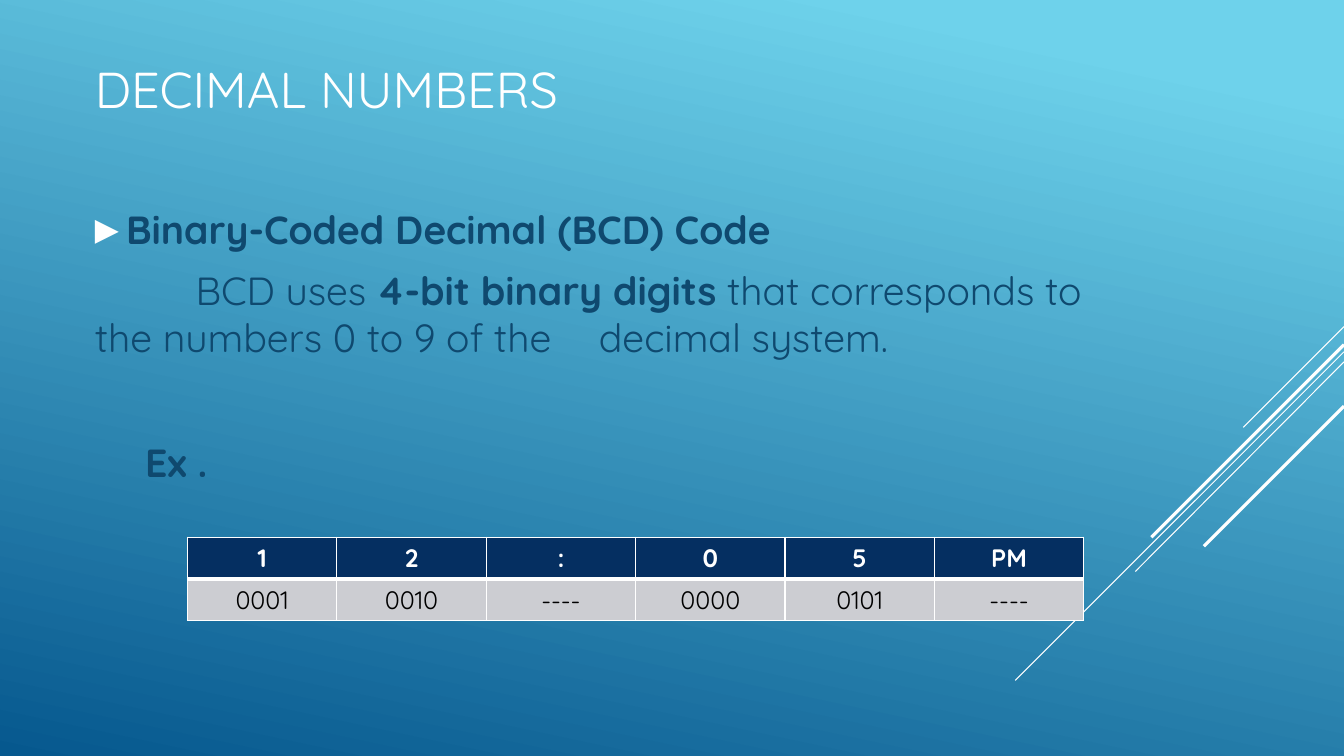
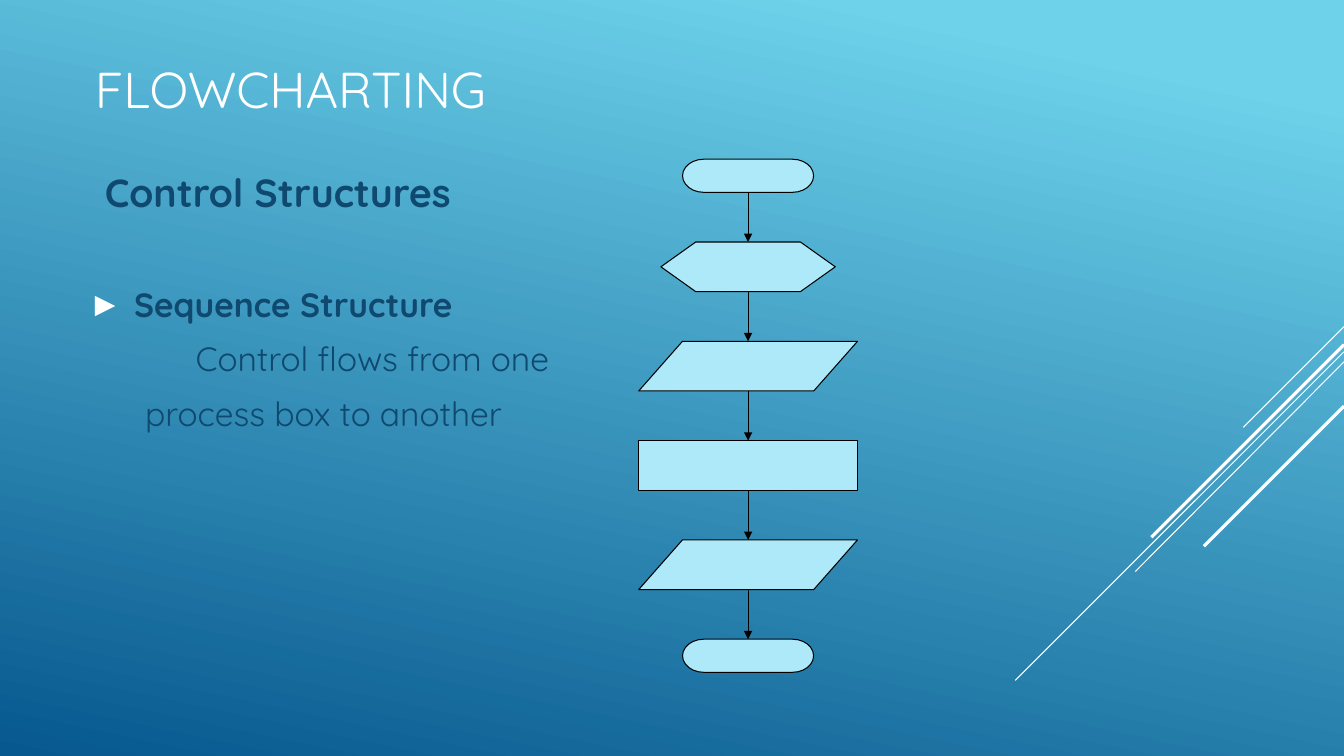
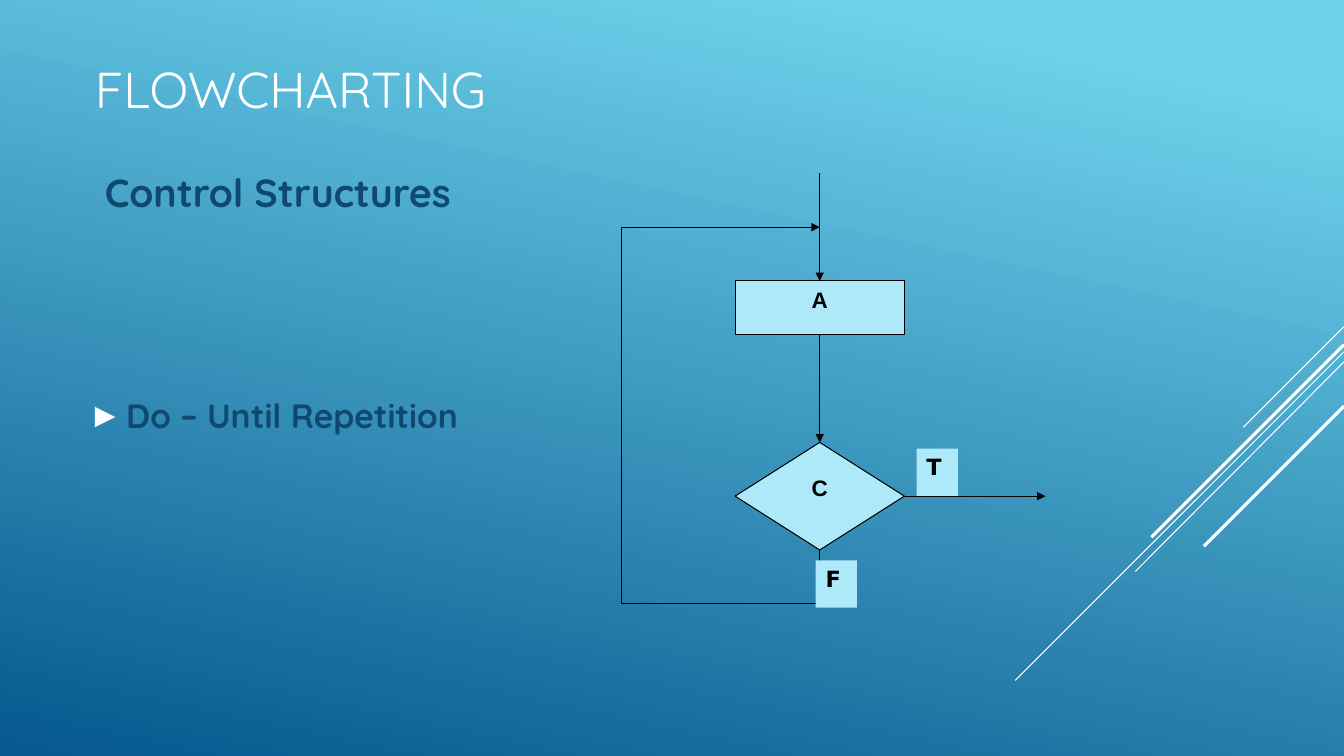
import pptx
import pptx.dml.color
import pptx.enum.shapes
import pptx.enum.text
import pptx.oxml
import pptx.oxml.ns
import pptx.util
from pptx.util import Inches

KIND = pptx.enum.shapes.MSO_SHAPE
ANCHOR = pptx.enum.text.MSO_ANCHOR
ALIGN = pptx.enum.text.PP_ALIGN
FONT, SYMBOL_FONT = "Quicksand", "DejaVu Sans"
WHITE, BLACK, INK, PALE = "FFFFFF", "000000", "0F496F", "ADE9F8"
NAVY, GREY = "052F61", "CCCDD2"

# Diagonal lines of the master: start y at the right edge, end x, end y, weight
DIAGONALS = [
    (3.24, 12.33, 4.24, 0.75),
    (3.49, 10.07, 6.75, 0.75),
    (3.59, 11.26, 5.67, 0.75),
    (3.42, 11.42, 5.33, 2.25),
    (4.03, 11.94, 5.42, 2.25),
]

# Body paragraphs: runs of (text, bold), size, left margin, first-line indent,
# space before, and optionally a bullet or a tab stop
HEADING = dict(runs=[("Control Structures", True)], size=28, left=0.1, first=0, before=0)
BODIES = {
    "bcd": [
        dict(runs=[("Binary-Coded Decimal (BCD) Code", True)],
             size=28, left=0.31, first=-0.31, before=0, bullet=True),
        dict(runs=[("BCD uses ", False), ("4-bit binary digits", True),
                   (" that corresponds to the numbers 0 to 9 of the \tdecimal system.", False)],
             size=28, left=0, first=1, before=10, tab=5),
        dict(runs=[("Ex .", True)], size=28, left=0.5, first=0, before=55),
    ],
    "sequence": [
        HEADING,
        dict(runs=[("Sequence Structure", True)],
             size=24, left=0.39, first=-0.39, before=49, bullet=True),
        dict(runs=[("Control flows from one", False)], size=24, left=1, first=0, before=10),
        dict(runs=[("process box to another", False)], size=24, left=0.5, first=0, before=10),
    ],
    "until": [
        HEADING,
        dict(runs=[("Do – Until Repetition", True)],
             size=24, left=0.31, first=-0.31, before=128, bullet=True),
    ],
}

TIME_TABLE = [
    ["1", "2", ":", "0", "5", "PM"],
    ["0001", "0010", "----", "0000", "0101", "----"],
]

# Sequence flowchart: shape, width, height in units
STEPS = [
    (KIND.FLOWCHART_TERMINATOR, 1.3, 2),
    (KIND.FLOWCHART_PREPARATION, 1.73, 3),
    (KIND.FLOWCHART_DATA, 2.17, 3),
    (KIND.FLOWCHART_PROCESS, 2.17, 3),
    (KIND.FLOWCHART_DATA, 2.17, 3),
    (KIND.FLOWCHART_TERMINATOR, 1.3, 2),
]
STEP_GAP = 3


def colour(code):
    return pptx.dml.color.RGBColor.from_string(code)


def drawing(tag, inner="", **attributes):
    text = " ".join(f'{name}="{value}"' for name, value in attributes.items())
    return pptx.oxml.parse_xml(
        f'<a:{tag} {pptx.oxml.ns.nsdecls("a")} {text}>{inner}</a:{tag}>')


def solid(code):
    return f'<a:solidFill><a:srgbClr val="{code}"/></a:solidFill>'


def add_span(para, text, size, code, bold=False, font=FONT):
    span = para.add_run()
    span.text = text
    span.font.name = font
    span.font.size = pptx.util.Pt(size)
    span.font.bold = bold
    span.font.color.rgb = colour(code)


def add_line(page, start, end, code=BLACK, weight=0.75, arrow=False):
    line = page.shapes.add_connector(
        pptx.enum.shapes.MSO_CONNECTOR.STRAIGHT, *[Inches(v) for v in (*start, *end)])
    line.line.color.rgb = colour(code)
    line.line.width = pptx.util.Pt(weight)
    if arrow:
        line.line._get_or_add_ln().append(drawing("tailEnd", type="triangle"))
    line._element.spPr.append(drawing("effectLst"))
    return line


def add_node(page, kind, left, top, width, height, label="", font="Arial", tag=False):
    node = page.shapes.add_shape(kind, *[Inches(v) for v in (left, top, width, height)])
    node.shadow.inherit = False
    node.fill.solid()
    node.fill.fore_color.rgb = colour(PALE)
    if tag:
        node.line.fill.background()
    else:
        node.line.color.rgb = colour(BLACK)
        node.line.width = pptx.util.Pt(0.75)
    if label:
        frame = node.text_frame
        frame.vertical_anchor = ANCHOR.TOP
        frame.word_wrap = not tag
        para = frame.paragraphs[0]
        para.alignment = ALIGN.LEFT if tag else ALIGN.CENTER
        add_span(para, label, 16, BLACK, True, font)


def set_up_master(deck):
    master = deck.slide_master
    fill = master.background.fill
    fill.gradient()
    fill.gradient_angle = 258
    for stop, position, code in zip(fill.gradient_stops, (0.1, 1), ("6ED2EB", "06588E")):
        stop.position = position
        stop.color.rgb = colour(code)


def move_diagonals_to_master(deck, page):
    tree = deck.slide_master.element.cSld.spTree
    for number, (start_y, end_x, end_y, weight) in enumerate(DIAGONALS, 101):
        element = add_line(page, (13.33, start_y), (end_x, end_y), WHITE, weight)._element
        element.nvCxnSpPr.cNvPr.set("id", str(number))
        tree.append(element)


def place(box, left, top, width, height):
    box.left, box.top, box.width, box.height = [Inches(v) for v in (left, top, width, height)]


def fill_body(frame, paragraphs):
    for index, item in enumerate(paragraphs):
        para = frame.paragraphs[0] if index == 0 else frame.add_paragraph()
        props = para._p.get_or_add_pPr()
        props.set("marL", str(Inches(item["left"])))
        props.set("indent", str(Inches(item["first"])))
        if item.get("bullet"):
            props.append(drawing("buClr", f'<a:srgbClr val="{WHITE}"/>'))
            props.append(drawing("buSzPct", val=80000))
            props.append(drawing("buFont", typeface=SYMBOL_FONT))
            props.append(drawing("buChar", char="▶"))
        else:
            props.append(drawing("buNone"))
        if "tab" in item:
            stop = f'<a:tab pos="{Inches(item["tab"])}" algn="l"/>'
            props.append(drawing("tabLst", stop))
        para.alignment = ALIGN.LEFT
        para.line_spacing = 1.0
        para.space_before = pptx.util.Pt(item["before"])
        para.space_after = pptx.util.Pt(0)
        for text, bold in item["runs"]:
            add_span(para, text, item["size"], INK, bold)


def add_page(deck, title, body, area, inset):
    page = deck.slides.add_slide(deck.slide_layouts[1])
    heading, content = page.placeholders
    place(heading, 0.84, 0.51, 9.33, 0.74)
    place(content, *area)
    for box, anchor in ((heading, ANCHOR.MIDDLE), (content, ANCHOR.TOP)):
        box.text_frame.auto_size = pptx.enum.text.MSO_AUTO_SIZE.NONE
        box.text_frame.word_wrap = True
        box.text_frame.vertical_anchor = anchor
    para = heading.text_frame.paragraphs[0]
    para.alignment = ALIGN.LEFT
    add_span(para, title, 36, WHITE)
    content.text_frame.margin_top = Inches(inset)
    fill_body(content.text_frame, BODIES[body])
    return page


def add_time_table(page):
    rows, columns = len(TIME_TABLE), len(TIME_TABLE[0])
    table = page.shapes.add_table(
        rows, columns, Inches(1.86), Inches(5.33), Inches(8.89), Inches(0.82)).table
    for r, row in enumerate(TIME_TABLE):
        header = r == 0
        for c, text in enumerate(row):
            cell = table.cell(r, c)
            cell.fill.solid()
            cell.fill.fore_color.rgb = colour(NAVY if header else GREY)
            para = cell.text_frame.paragraphs[0]
            para.alignment = ALIGN.CENTER
            add_span(para, text, 18, WHITE if header else BLACK, header)
            # The edge between header and values is the thick one
            weights = {"lnL": 1, "lnR": 1, "lnT": 1 if header else 3, "lnB": 3 if header else 1}
            props = cell._tc.get_or_add_tcPr()
            for position, (side, weight) in enumerate(weights.items()):
                props.insert(position, drawing(side, solid(WHITE), w=pptx.util.Pt(weight)))


def add_sequence_chart(page):
    middle, top, height = 7.42, 1.58, 5.09
    unit = height / (sum(step[2] for step in STEPS) + STEP_GAP * (len(STEPS) - 1))
    for index, (kind, width, units) in enumerate(STEPS):
        if index:
            add_line(page, (middle, top), (middle, top + STEP_GAP * unit), arrow=True)
            top += STEP_GAP * unit
        add_node(page, kind, middle - width / 2, top, width, units * unit)
        top += units * unit


def add_until_chart(page):
    loop, middle, exit_x, width = 6.16, 8.13, 10.37, 1.68
    row = [1.72 + 4.27 / 8 * n for n in range(9)]
    left, right = middle - width / 2, middle + width / 2
    # Lines: start, end, arrow
    for start, end, arrow in [
        ((loop, row[1]), (loop, row[8]), False),
        ((loop, row[1]), (middle, row[1]), True),
        ((loop, row[8]), (middle, row[8]), False),
        ((middle, row[0]), (middle, row[2]), True),
        ((right, row[6]), (exit_x, row[6]), True),
        ((middle, row[3]), (middle, row[5]), True),
        ((middle, row[7]), (middle, row[8]), False),
    ]:
        add_line(page, start, end, arrow=arrow)
    add_node(page, KIND.FLOWCHART_DECISION, left, row[5], width, row[7] - row[5], "C")
    add_node(page, KIND.RECTANGLE, left, row[2], width, row[3] - row[2], "A")
    for label, x, y in (("T", 9.09, 4.45), ("F", 8.09, 5.56)):
        add_node(page, KIND.RECTANGLE, x, y, 0.41, 0.47, label, SYMBOL_FONT, tag=True)


def main():
    deck = pptx.Presentation()
    deck.slide_width, deck.slide_height = Inches(13.33), Inches(7.5)
    set_up_master(deck)

    page = add_page(deck, "DECIMAL NUMBERS", "bcd", (0.84, 1.25, 10.48, 5.59), 0.79)
    move_diagonals_to_master(deck, page)
    add_time_table(page)

    flow_area = (0.84, 1.39, 9.33, 6.11)
    for body, add_chart in (("sequence", add_sequence_chart), ("until", add_until_chart)):
        add_chart(add_page(deck, "FLOWCHARTING", body, flow_area, 0.28))

    deck.save("out.pptx")


if __name__ == "__main__":
    main()
